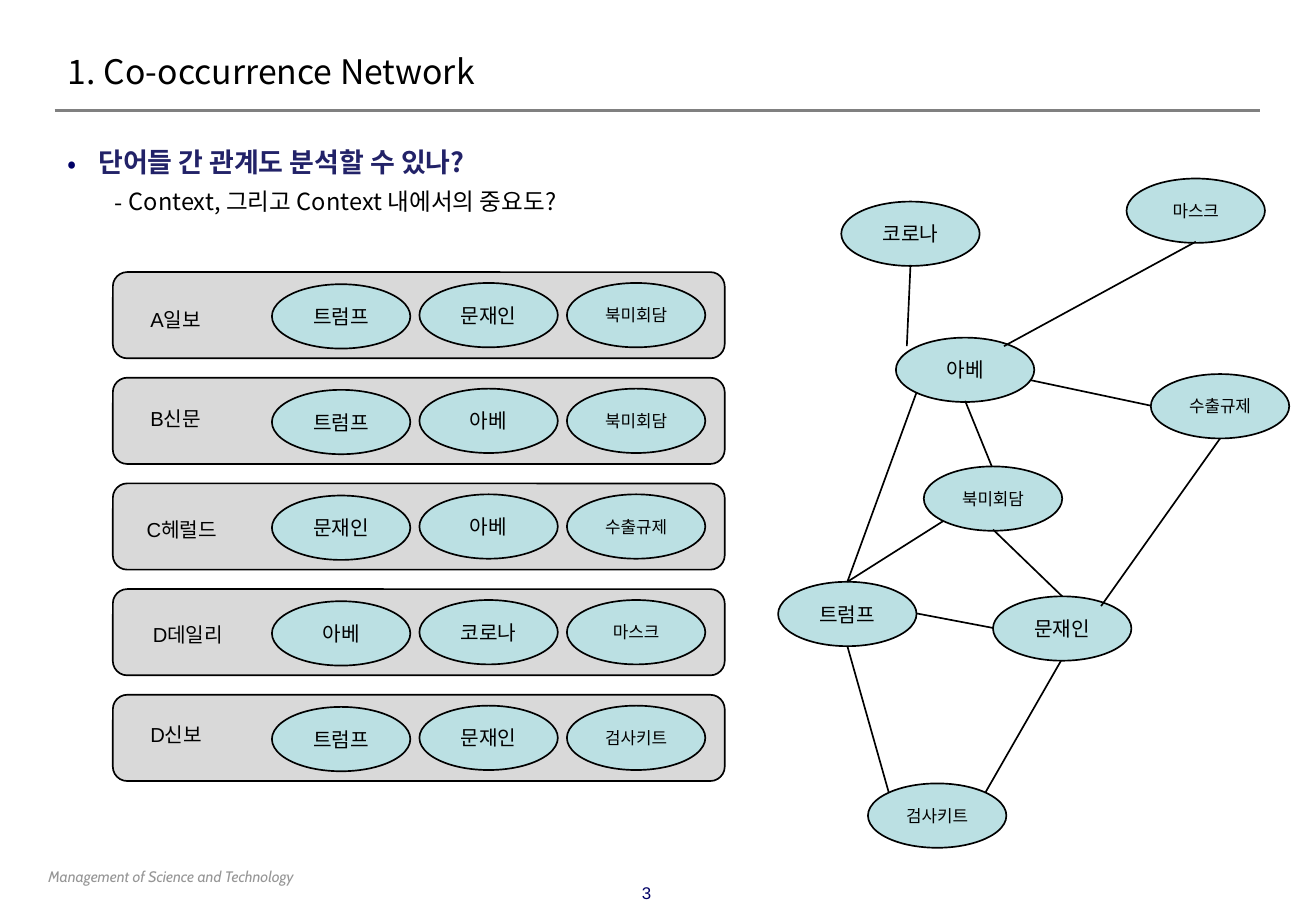
from lxml import etree
from pptx import Presentation
from pptx.dml.color import RGBColor
from pptx.enum import shapes, text
from pptx.oxml import ns
from pptx.util import Inches, Pt

BLACK = RGBColor(0x00, 0x00, 0x00)
NAVY = RGBColor(0x00, 0x00, 0x66)
HEADING = RGBColor(0x22, 0x22, 0x68)
RULE_GRAY = RGBColor(0x80, 0x80, 0x80)
FOOTER_GRAY = RGBColor(0x96, 0x96, 0x96)
PANEL = RGBColor(0xD9, 0xD9, 0xD9)
TEAL = RGBColor(0xBB, 0xE0, 0xE3)
KOREAN = "Noto Sans CJK KR"
WORD_W, WORD_H = 1.14, 0.53
SMALL_WORDS = {"북미회담", "수출규제", "마스크", "검사키트"}

prs = Presentation()
prs.slide_width, prs.slide_height = Inches(10.84), Inches(7.5)
s = prs.slides.add_slide(prs.slide_layouts[1])


def write(p, words, size, font="Arial", color=BLACK, align=text.PP_ALIGN.LEFT):
    p.text = words
    p.alignment = align
    r = p.runs[0]
    r.font.size, r.font.name = Pt(size), font
    r.font.color.rgb = color
    etree.SubElement(r._r.get_or_add_rPr(), ns.qn("a:ea"), typeface=KOREAN)
    return r


def add_box(kind, x, y, w, h, fill, words=None):
    sp = s.shapes.add_shape(kind, Inches(x), Inches(y), Inches(w), Inches(h))
    sp.shadow.inherit = False
    sp.fill.solid()
    sp.fill.fore_color.rgb = fill
    sp.line.color.rgb, sp.line.width = BLACK, Pt(1)
    if words:
        tf = sp.text_frame
        tf.vertical_anchor = text.MSO_ANCHOR.MIDDLE
        write(tf.paragraphs[0], words, 10 if words in SMALL_WORDS else 12,
              align=text.PP_ALIGN.CENTER)


# Title
title = s.shapes.title
title.left, title.top, title.width, title.height = map(Inches, (0.45, 0.34, 8.03, 0.49))
title.text_frame.auto_size = text.MSO_AUTO_SIZE.NONE
title.text_frame.margin_left = Inches(0.11)
write(title.text_frame.paragraphs[0], "1. Co-occurrence Network", 20, KOREAN)

# Question and sub-point
body = s.placeholders[1]
body.left, body.top, body.width, body.height = map(Inches, (0.45, 1.07, 9.92, 5.82))
tf = body.text_frame
tf.auto_size = text.MSO_AUTO_SIZE.NONE
tf.margin_left = Inches(0.11)
points = [
    ("단어들 간 관계도 분석할 수 있나?", 16, HEADING, "•", NAVY, 0.25, -0.25),
    ("Context, 그리고 Context 내에서의 중요도?", 14, BLACK, "-", BLACK, 0.5, -0.12),
]
for level, (words, size, color, mark, mark_color, margin, indent) in enumerate(points):
    p = tf.paragraphs[0] if level == 0 else tf.add_paragraph()
    p.level = level
    pPr = p._p.get_or_add_pPr()
    pPr.set("marL", str(Inches(margin)))
    pPr.set("indent", str(Inches(indent)))
    bu_color = etree.SubElement(pPr, ns.qn("a:buClr"))
    etree.SubElement(bu_color, ns.qn("a:srgbClr"), val=str(mark_color))
    etree.SubElement(pPr, ns.qn("a:buFont"), typeface=KOREAN)
    etree.SubElement(pPr, ns.qn("a:buChar"), char=mark)
    p.line_spacing, p.space_before = 1.3, Pt(0)
    write(p, words, size, KOREAN, color).font.bold = level == 0

# Newspapers and the words each one uses
newspapers = [
    ("A일보", 1.14, 2.48, ["트럼프", "문재인", "북미회담"]),
    ("B신문", 1.14, 3.30, ["트럼프", "아베", "북미회담"]),
    ("C헤럴드", 1.11, 4.21, ["문재인", "아베", "수출규제"]),
    ("D데일리", 1.16, 5.07, ["아베", "코로나", "마스크"]),
    ("D신보", 1.14, 5.90, ["트럼프", "문재인", "검사키트"]),
]
for row, (name, label_x, label_y, words) in enumerate(newspapers):
    y = 2.24 + 0.87 * row
    add_box(shapes.MSO_SHAPE.ROUNDED_RECTANGLE, 0.93, y, 5.04, 0.71, PANEL)
    for col, word in enumerate(words):
        add_box(shapes.MSO_SHAPE.OVAL, 2.24 + 1.215 * col, y + (0.09 if col else 0.1),
                WORD_W, WORD_H, TEAL, word)
    label = s.shapes.add_textbox(Inches(label_x), Inches(label_y),
                                 Inches(0.2 + 0.155 * len(name)), Inches(0.3))
    label.text_frame.word_wrap = False
    write(label.text_frame.paragraphs[0], name, 12)

# Network words
network = {
    "트럼프": (6.41, 4.79), "문재인": (8.18, 4.91), "북미회담": (7.61, 3.84),
    "아베": (7.38, 2.78), "수출규제": (9.48, 3.08), "코로나": (6.93, 1.66),
    "마스크": (9.28, 1.47), "검사키트": (7.15, 6.45),
}
for word, (x, y) in network.items():
    add_box(shapes.MSO_SHAPE.OVAL, x, y, WORD_W, WORD_H, TEAL, word)

# Title rule and network links
lines = [(0.45, 0.91, 10.38, 0.91, RULE_GRAY, 2)]
lines += [(*link, BLACK, 1) for link in [
    (7.55, 5.05, 8.18, 5.17),  # 트럼프 - 문재인
    (8.75, 4.91, 8.18, 4.36),  # 문재인 - 북미회담
    (6.98, 4.79, 7.77, 4.29),  # 트럼프 - 북미회담
    (8.17, 3.84, 7.95, 3.30),  # 북미회담 - 아베
    (7.55, 3.23, 6.98, 4.79),  # 아베 - 트럼프
    (9.07, 4.99, 10.05, 3.61),  # 문재인 - 수출규제
    (8.49, 3.13, 9.48, 3.34),  # 아베 - 수출규제
    (7.50, 2.18, 7.47, 2.85),  # 코로나 - 아베
    (8.27, 2.85, 9.85, 1.99),  # 아베 - 마스크
    (6.98, 5.32, 7.32, 6.52),  # 트럼프 - 검사키트
    (8.74, 5.44, 8.12, 6.52),  # 문재인 - 검사키트
]]
for x1, y1, x2, y2, color, width in lines:
    line = s.shapes.add_connector(shapes.MSO_CONNECTOR.STRAIGHT, Inches(x1), Inches(y1),
                                  Inches(x2), Inches(y2))
    line.line.color.rgb, line.line.width = color, Pt(width)
    etree.SubElement(line._element.spPr, ns.qn("a:effectLst"))

# Footer and page number
footer = s.shapes.add_textbox(Inches(0.3), Inches(7.09), Inches(3.94), Inches(0.25))
footer.text_frame.word_wrap = True
write(footer.text_frame.paragraphs[0], "Management of Science and Technology", 9,
      "Cabin", FOOTER_GRAY).font.italic = True
number = s.shapes.add_textbox(Inches(5.02), Inches(7.22), Inches(0.61), Inches(0.27))
number.text_frame.word_wrap = True
write(number.text_frame.paragraphs[0], "3", 10, color=NAVY, align=text.PP_ALIGN.CENTER)

prs.save("out.pptx")
